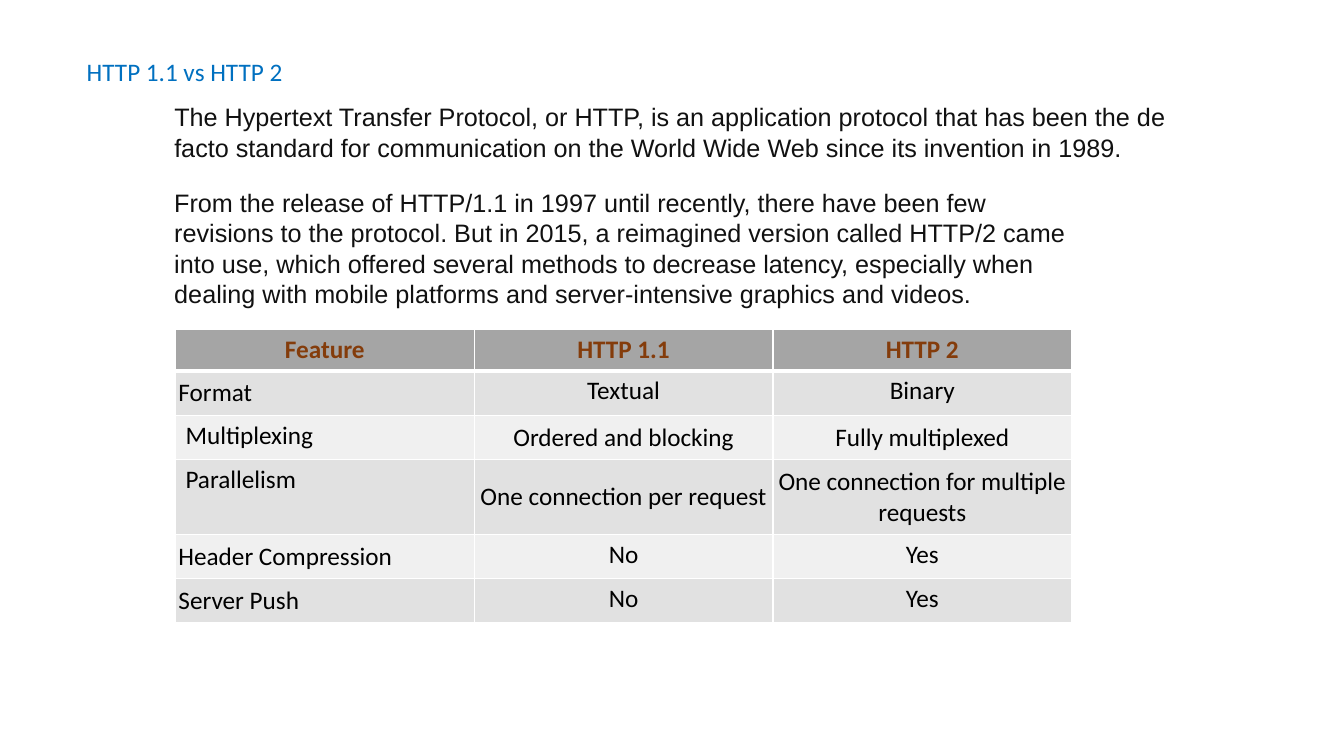
from dataclasses import dataclass

from lxml.etree import SubElement
from pptx import Presentation
from pptx.dml.color import RGBColor
from pptx.enum.text import MSO_ANCHOR, MSO_AUTO_SIZE, PP_ALIGN
from pptx.oxml.ns import qn
from pptx.util import Inches, Pt


@dataclass(frozen=True)
class Theme:
    """Colours, fonts and type sizes of the slide."""

    title: str = "0070C0"
    body: str = "111111"
    header_text: str = "843C0B"
    cell_text: str = "000000"
    header_fill: str = "A5A5A5"
    band_fills: tuple = ("E1E1E1", "F0F0F0")
    border: str = "FFFFFF"
    thin: float = 1
    thick: float = 3
    heading_font: str = "Calibri"
    body_font: str = "Arial"
    size: float = 18


THEME = Theme()
COMPACT = {
    "vertical_anchor": MSO_ANCHOR.MIDDLE,
    "margin_left": Inches(0.03),
    "margin_top": Inches(0.07),
    "margin_right": Inches(0.03),
    "margin_bottom": Inches(0.07),
}
INTRODUCTION = (
    "The Hypertext Transfer Protocol, or HTTP, is an application protocol that has been "
    "the de facto standard for communication on the World Wide Web since its invention in 1989."
)
HISTORY = (
    "From the release of HTTP/1.1 in 1997 until recently, there have been few revisions to "
    "the protocol. But in 2015, a reimagined version called HTTP/2 came into use, which "
    "offered several methods to decrease latency, especially when dealing with mobile "
    "platforms and server-intensive graphics and videos."
)
HEADER = ("Feature", "HTTP 1.1", "HTTP 2")
COMPARISON = (
    (("Format", "Textual", "Binary"), {0}),
    (("Multiplexing", "Ordered and blocking", "Fully multiplexed"), {1, 2}),
    (("Parallelism", "One connection per request", "One connection for multiple requests"), {1, 2}),
    (("Header Compression", "No", "Yes"), {0}),
    (("Server Push", "No", "Yes"), {0}),
)


def apply_format(target, values):
    """Set each named attribute on the target."""
    for name, value in values.items():
        setattr(target, name, value)


def write_text(text_frame, text, font_name, color, alignment=PP_ALIGN.LEFT, bold=False):
    """Write one formatted paragraph."""
    paragraph = text_frame.paragraphs[0]
    paragraph.alignment = alignment
    run = paragraph.add_run()
    run.text = text
    apply_format(run.font, {"name": font_name, "size": Pt(THEME.size), "bold": bold})
    run.font.color.rgb = RGBColor.from_string(color)


def add_title(slide, text):
    """Place and format the title placeholder."""
    title = slide.shapes.title
    apply_format(title, {
        "left": Inches(0.76), "top": Inches(0.51),
        "width": Inches(2.16), "height": Inches(0.4),
    })
    apply_format(title.text_frame, {
        "word_wrap": False,
        "auto_size": MSO_AUTO_SIZE.SHAPE_TO_FIT_TEXT,
        "vertical_anchor": MSO_ANCHOR.TOP,
    })
    write_text(title.text_frame, text, THEME.heading_font, THEME.title)


def add_body_text(slide, text, top, width, height):
    """Add a wrapped block of body text."""
    box = slide.shapes.add_textbox(Inches(1.63), Inches(top), Inches(width), Inches(height))
    apply_format(box.text_frame, {
        "word_wrap": True, "auto_size": MSO_AUTO_SIZE.SHAPE_TO_FIT_TEXT,
    })
    write_text(box.text_frame, text, THEME.body_font, THEME.body)


def add_borders(cell, row_index):
    """Draw the cell borders, thicker under the header row."""
    thick_sides = {0: "lnB", 1: "lnT"}
    properties = cell._tc.get_or_add_tcPr()
    for side in ("lnL", "lnR", "lnT", "lnB"):
        width = THEME.thick if side == thick_sides.get(row_index) else THEME.thin
        line = SubElement(properties, qn(f"a:{side}"), w=str(Pt(width)))
        fill = SubElement(line, qn("a:solidFill"))
        SubElement(fill, qn("a:srgbClr"), val=THEME.border)


def format_cell(cell, row_index, column_index, text, compact):
    """Fill, border and write one table cell."""
    is_header = row_index == 0
    add_borders(cell, row_index)
    fill_color = THEME.header_fill if is_header else THEME.band_fills[(row_index - 1) % 2]
    cell.fill.solid()
    cell.fill.fore_color.rgb = RGBColor.from_string(fill_color)
    if compact:
        apply_format(cell, COMPACT)
    alignment = PP_ALIGN.CENTER if is_header or column_index else PP_ALIGN.LEFT
    color = THEME.header_text if is_header else THEME.cell_text
    write_text(cell.text_frame, text, THEME.heading_font, color, alignment, is_header)


def add_comparison_table(slide):
    """Add the table that compares the two protocol versions."""
    rows = ((HEADER, set()), *COMPARISON)
    row_height = Inches(0.41)
    table = slide.shapes.add_table(
        len(rows), len(HEADER), Inches(1.74), Inches(3.27), Inches(8.89), row_height * len(rows)
    ).table
    for row_index, (texts, compact_columns) in enumerate(rows):
        table.rows[row_index].height = row_height
        for column_index, text in enumerate(texts):
            cell = table.cell(row_index, column_index)
            format_cell(cell, row_index, column_index, text, column_index in compact_columns)


def main():
    """Build and save the slide."""
    presentation = Presentation()
    apply_format(presentation, {"slide_width": Inches(13.33), "slide_height": Inches(7.5)})
    slide = presentation.slides.add_slide(presentation.slide_layouts.get_by_name("Title Only"))
    add_title(slide, "HTTP 1.1 vs HTTP 2")
    add_comparison_table(slide)
    add_body_text(slide, INTRODUCTION, 0.96, 10.52, 0.71)
    add_body_text(slide, HISTORY, 1.81, 9.1, 1.31)
    presentation.save("out.pptx")


if __name__ == "__main__":
    main()
